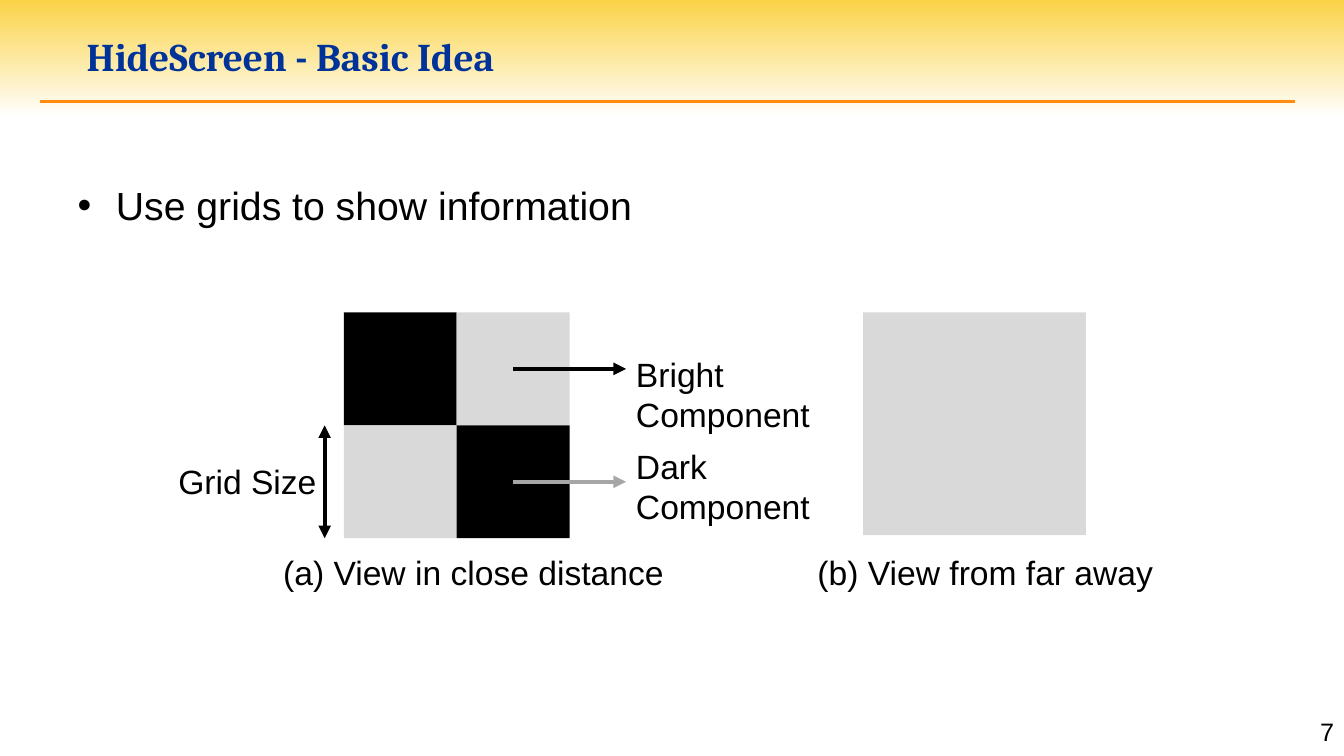
from pptx import Presentation
from pptx.dml.color import RGBColor
from pptx.enum.shapes import MSO_CONNECTOR, MSO_SHAPE
from pptx.enum.text import MSO_ANCHOR, MSO_AUTO_SIZE, PP_ALIGN
from pptx.oxml.ns import qn
from pptx.util import Inches, Pt
from lxml import etree

GOLD = RGBColor(0xFB, 0xD3, 0x47)
WHITE = RGBColor(0xFF, 0xFF, 0xFF)
ORANGE = RGBColor(0xFF, 0x8B, 0x0F)
NAVY = RGBColor(0x00, 0x33, 0x99)
BLACK = RGBColor(0x00, 0x00, 0x00)
LIGHT = RGBColor(0xD9, 0xD9, 0xD9)
GRAY = RGBColor(0xA6, 0xA6, 0xA6)


def place(shape, box):
    shape.left, shape.top, shape.width, shape.height = map(Inches, box)


def write(para, text, size, color=BLACK, face="Arial", bold=False):
    run = para.add_run()
    run.text = text
    font = run.font
    font.name, font.size, font.bold = face, Pt(size), bold
    font.color.rgb = color


def label(slide, box, text, size=24, wrap=True, align=PP_ALIGN.LEFT):
    frame = slide.shapes.add_textbox(*map(Inches, box)).text_frame
    frame.word_wrap = wrap
    para = frame.paragraphs[0]
    para.alignment = align
    write(para, text, size)


def block(slide, box, color=None):
    rect = slide.shapes.add_shape(MSO_SHAPE.RECTANGLE, *map(Inches, box))
    rect.shadow.inherit = False
    rect.line.fill.background()
    if color is not None:
        rect.fill.solid()
        rect.fill.fore_color.rgb = color
    return rect


def rule(slide, start, end, color, width, tips=()):
    line = slide.shapes.add_connector(
        MSO_CONNECTOR.STRAIGHT, *map(Inches, start + end))
    line.line.color.rgb = color
    line.line.width = Pt(width)
    stroke = line.line._get_or_add_ln()
    for tip in tips:
        etree.SubElement(stroke, qn(f"a:{tip}"), type="triangle")
    etree.SubElement(line._element.spPr, qn("a:effectLst"))


def header(slide, box, text):
    left, top, width, height = box
    # Gold band fading to white
    band = block(slide, box)
    band.fill.gradient()
    band.fill.gradient_angle = 270
    for stop, color, spot in zip(band.fill.gradient_stops,
                                 (GOLD, WHITE), (0, 1)):
        stop.color.rgb, stop.position = color, spot
    rule(slide, (left + 0.4, top + 1.01), (left + 12.84, top + 1.01),
         ORANGE, 2.25)
    # Title, raised above the band
    title = slide.shapes.title
    place(title, (left + 0.76, top + 0.09, 11.21, 0.92))
    slide.shapes._spTree.append(title._element)
    frame = title.text_frame
    frame.vertical_anchor = MSO_ANCHOR.MIDDLE
    frame.auto_size = MSO_AUTO_SIZE.NONE
    para = frame.paragraphs[0]
    para.alignment = PP_ALIGN.LEFT
    write(para, text, 28, NAVY, "Cambria", True)


def bullets(slide, box, items):
    body = slide.placeholders[1]
    place(body, box)
    frame = body.text_frame
    frame.auto_size = MSO_AUTO_SIZE.NONE
    for i, item in enumerate(items):
        para = frame.add_paragraph() if i else frame.paragraphs[0]
        props = para._p.get_or_add_pPr()
        props.set("marL", str(Inches(0.38)))
        props.set("indent", str(-Inches(0.38)))
        etree.SubElement(props, qn("a:buFont"), typeface="Arial")
        etree.SubElement(props, qn("a:buChar"), char="•")
        para.space_before = Pt(6 if i else 0)
        write(para, item, 28)


def close(slide, box):
    left, top, width, height = box
    cell = width / 2
    # Checkerboard
    for row in range(2):
        for col in range(2):
            block(slide, (left + col * cell, top + row * cell, cell, cell),
                  BLACK if row == col else LIGHT)
    # Grid size mark
    side = left - 0.19
    rule(slide, (side, top + cell), (side, top + height), BLACK, 3,
         ("headEnd", "tailEnd"))
    label(slide, (left - 1.74, top + 1.42, 1.7, 0.5), "Grid Size")
    # Arrows from the right column to its labels
    edge = left + 2.5 * cell
    for row, (text, color) in enumerate((("Bright Component", BLACK),
                                         ("Dark Component", GRAY))):
        mid = top + (row + 0.5) * cell
        rule(slide, (left + 1.5 * cell, mid), (edge, mid), color, 3,
             ("tailEnd",))
        label(slide, (edge, top + 0.36 + row * 0.91, 2.17, 0.91), text)
    label(slide, (left - 0.7, top + 2.33, 4.02, 0.5),
          "(a) View in close distance", wrap=False)


def far(slide, box):
    left, top, width, height = box
    block(slide, box, LIGHT)
    label(slide, (left - 0.55, top + 2.33, 3.56, 0.5),
          "(b) View from far away", wrap=False)


def main():
    deck = Presentation()
    deck.slide_width, deck.slide_height = Inches(13.33), Inches(7.5)
    slide = deck.slides.add_slide(deck.slide_layouts[1])
    header(slide, (0, 0, 13.33, 1.17), "HideScreen - Basic Idea")
    bullets(slide, (0.67, 1.75, 12, 4.95), ["Use grids to show information"])
    close(slide, (3.41, 3.1, 2.24, 2.24))
    far(slide, (8.56, 3.1, 2.21, 2.21))
    # Page number
    label(slide, (10.33, 7.06, 3, 0.4), "7", 18, align=PP_ALIGN.RIGHT)
    deck.save("out.pptx")


if __name__ == "__main__":
    main()
